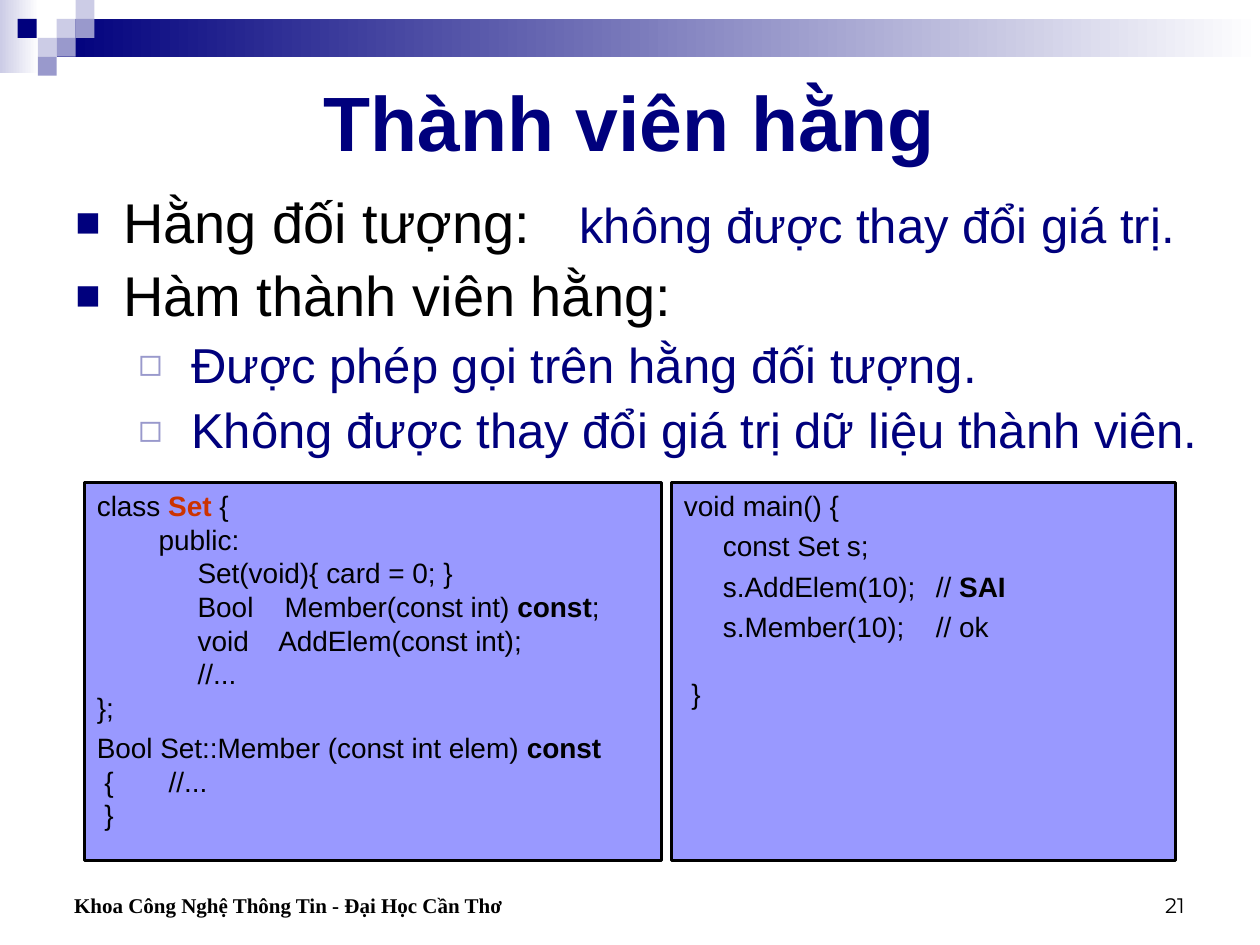
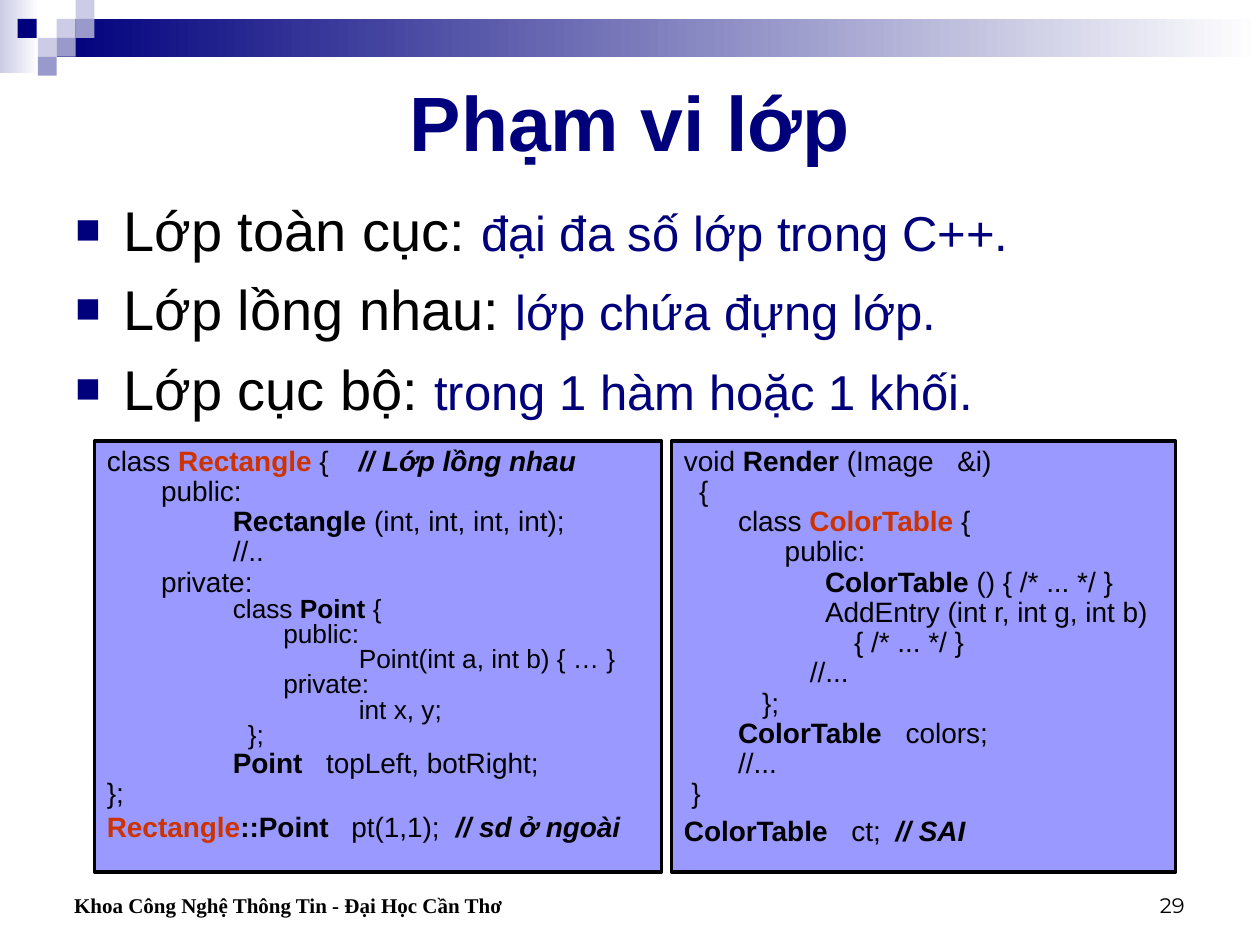
from lxml import etree
from pptx import Presentation
from pptx.dml.color import RGBColor
from pptx.enum.shapes import MSO_SHAPE
from pptx.enum.text import MSO_ANCHOR, PP_ALIGN
from pptx.oxml.ns import qn
from pptx.util import Inches, Pt

RECTANGLE = MSO_SHAPE.RECTANGLE
TOP, MIDDLE, BOTTOM = MSO_ANCHOR.TOP, MSO_ANCHOR.MIDDLE, MSO_ANCHOR.BOTTOM
LEFT, CENTER, RIGHT = PP_ALIGN.LEFT, PP_ALIGN.CENTER, PP_ALIGN.RIGHT

NAVY, LAVENDER, PALE = "00007D", "9999CC", "CCCCE6"
CODE_FILL, RED, BLACK, WHITE = "9999FF", "CC3300", "000000", "FFFFFF"
BODY_FONT, FOOTER_FONT, NUMBER_FONT = "Arial", "Times New Roman", "Montserrat"
FOOTER = "Khoa Công Nghệ Thông Tin - Đại Học Cần Thơ"

TILE = 0.15
TILES = [
    (0.45, 0.15, PALE), (0.6, 0, PALE), (0.6, 0.15, LAVENDER), (0.3, 0.3, PALE),
    (0.14, 0.15, NAVY), (0.45, 0.3, LAVENDER), (0.3, 0.45, LAVENDER),
]

BULLETS = {
    1: {"char": "■", "color": NAVY, "percent": 75, "margin": 0.38, "hang": 0.38},
    2: {"char": "◻", "color": LAVENDER, "percent": 80, "margin": 0.92, "hang": 0.42},
}

STYLES = {
    "plain": {},
    "bold": {"bold": True},
    "name": {"bold": True, "color": RED},
    "note": {"bold": True, "italic": True},
}


def rgb(hex_color):
    """Turn a hex string into a colour."""
    return RGBColor.from_string(hex_color)


def add_run(paragraph, text, size, color=BLACK, font=BODY_FONT, bold=False, italic=False):
    """Append one formatted run to a paragraph."""
    run = paragraph.add_run()
    run.text = text
    run.font.name = font
    run.font.size = Pt(size)
    run.font.bold = bold
    run.font.italic = italic
    run.font.color.rgb = rgb(color)


def add_rectangle(slide, left, top, width, height, color):
    """Add a plain rectangle without outline or shadow."""
    rectangle = slide.shapes.add_shape(
        RECTANGLE, Inches(left), Inches(top), Inches(width), Inches(height))
    rectangle.shadow.inherit = False
    rectangle.fill.solid()
    rectangle.fill.fore_color.rgb = rgb(color)
    rectangle.line.fill.background()
    return rectangle


def add_fading_band(slide, left, top, width, height, color):
    """Add a rectangle that fades from a colour to white, left to right."""
    fill = add_rectangle(slide, left, top, width, height, color).fill
    fill.gradient()
    fill.gradient_angle = 0
    for stop, stop_color in zip(fill.gradient_stops, (color, WHITE)):
        stop.color.rgb = rgb(stop_color)


def add_text_box(slide, left, top, width, height, anchor=TOP):
    """Add a wrapping text box and return its text frame."""
    frame = slide.shapes.add_textbox(
        Inches(left), Inches(top), Inches(width), Inches(height)).text_frame
    frame.word_wrap = True
    frame.vertical_anchor = anchor
    return frame


def next_paragraph(frame, index):
    """Return the first paragraph for index 0 and a new one after that."""
    return frame.add_paragraph() if index else frame.paragraphs[0]


def set_tab_stops(paragraph, stops):
    """Give a paragraph left tab stops, in inches."""
    if stops:
        tab_list = etree.SubElement(paragraph._p.get_or_add_pPr(), qn("a:tabLst"))
        for stop in stops:
            etree.SubElement(tab_list, qn("a:tab"), pos=str(Inches(stop)), algn="l")


def set_bullet(paragraph, level):
    """Apply the bullet and hanging indent of a list level."""
    bullet = BULLETS[level]
    properties = paragraph._p.get_or_add_pPr()
    properties.set("marL", str(Inches(bullet["margin"])))
    properties.set("indent", str(-Inches(bullet["hang"])))
    color = etree.SubElement(properties, qn("a:buClr"))
    etree.SubElement(color, qn("a:srgbClr"), val=bullet["color"])
    etree.SubElement(properties, qn("a:buSzPct"), val=str(bullet["percent"] * 1000))
    etree.SubElement(properties, qn("a:buFont"), typeface=BODY_FONT)
    etree.SubElement(properties, qn("a:buChar"), char=bullet["char"])


def add_banner(slide):
    """Draw the band and the tiles along the top."""
    add_fading_band(slide, 0, 0, 0.31, 0.58, PALE)
    add_fading_band(slide, 0.45, 0.15, 9.55, 0.3, NAVY)
    for left, top, color in TILES:
        add_rectangle(slide, left, top, TILE, TILE, color)


def add_label(slide, place, text, anchor, alignment, **style):
    """Add a text box that holds a single run."""
    paragraph = add_text_box(slide, *place, anchor).paragraphs[0]
    paragraph.alignment = alignment
    add_run(paragraph, text, **style)


def add_topic_slide(deck, title, number):
    """Add a slide with banner, title, footer and page number."""
    slide = deck.slides.add_slide(deck.slide_layouts[6])
    add_banner(slide)
    add_label(slide, (0.5, 0.5, 9, 0.92), title, MIDDLE, CENTER,
              size=44, color=NAVY, bold=True)
    add_label(slide, (0.49, 6.83, 4.59, 0.5), FOOTER, BOTTOM, LEFT,
              size=12, font=FOOTER_FONT, bold=True)
    add_label(slide, (7.17, 6.83, 2.33, 0.5), number, BOTTOM, RIGHT,
              size=12, font=NUMBER_FONT)
    return slide


def add_points(slide, width, height, points, spacing):
    """Add bulleted points given as (level, term, explanation, tab stops)."""
    frame = add_text_box(slide, 0.5, 1.5, width, height)
    for index, (level, term, explanation, stops) in enumerate(points):
        paragraph = next_paragraph(frame, index)
        paragraph.line_spacing = spacing
        paragraph.space_before = Pt(7)
        set_bullet(paragraph, level)
        set_tab_stops(paragraph, stops)
        if term:
            add_run(paragraph, term, 32)
        if explanation:
            add_run(paragraph, explanation, 28, NAVY)


def line(stops, *parts, size=16, spacing=1.0, before=0):
    """Describe a code line; a part is plain text or (text, style)."""
    runs = [(part, "plain") if isinstance(part, str) else part for part in parts]
    return {"stops": stops, "runs": runs, "size": size, "spacing": spacing, "before": before}


def dense(stops, *parts):
    """Describe a code line with tight spacing."""
    return line(stops, *parts, spacing=0.9)


def nested(stops, *parts):
    """Describe a smaller code line of an inner class."""
    return line(stops, *parts, size=15, spacing=0.8)


def add_code_box(slide, left, top, width, height, code):
    """Add an outlined box that holds lines of code."""
    box = add_rectangle(slide, left, top, width, height, CODE_FILL)
    box.line.color.rgb = rgb(BLACK)
    box.line.width = Pt(2)
    frame = box.text_frame
    frame.word_wrap = True
    frame.vertical_anchor = TOP
    for index, code_line in enumerate(code):
        paragraph = next_paragraph(frame, index)
        paragraph.alignment = LEFT
        paragraph.line_spacing = code_line["spacing"]
        paragraph.space_before = Pt(code_line["before"])
        set_tab_stops(paragraph, code_line["stops"])
        for text, style in code_line["runs"]:
            add_run(paragraph, text, code_line["size"], **STYLES[style])


def add_constant_members(deck):
    """Build the slide on constant members."""
    slide = add_topic_slide(deck, "Thành viên hằng", "21")
    add_points(slide, 9.17, 2.33, [
        (1, "Hằng đối tượng:\t", "không được thay đổi giá trị.", [3.48]),
        (1, "Hàm thành viên hằng:", "", []),
        (2, "", "Được phép gọi trên hằng đối tượng.", []),
        (2, "", "Không được thay đổi giá trị dữ liệu thành viên.", []),
    ], spacing=0.9)
    add_code_box(slide, 0.67, 3.83, 4.58, 3, [
        line([], "class ", ("Set", "name"), " {"),
        line([0.49], "\tpublic:"),
        line([0.8], "\tSet(void){ card = 0; }"),
        line([0.8, 1.49], "\tBool\tMember(const int) ", ("const", "bold"), ";"),
        line([0.8, 1.44], "\tvoid\tAddElem(const int);"),
        line([0.8], "\t//..."),
        line([], "};"),
        line([], "Bool Set::Member (const int elem) ", ("const", "bold"), spacing=1.2),
        line([0.06, 0.57], "\t{\t//..."),
        line([0.06], "\t}"),
    ])
    add_code_box(slide, 5.33, 3.83, 4, 3, [
        line([], "void main() {"),
        line([0.31], "\tconst Set s;", spacing=1.2),
        line([0.31, 2], "\ts.AddElem(10);\t// ", ("SAI", "bold"), spacing=1.2),
        line([0.31, 2], "\ts.Member(10);\t// ok", spacing=1.2),
        line([0.06], "\t}", before=19),
    ])


def add_class_scope(deck):
    """Build the slide on class scope."""
    slide = add_topic_slide(deck, "Phạm vi lớp", "29")
    add_points(slide, 9, 1.92, [
        (1, "Lớp toàn cục: ", "đại đa số lớp trong C++.", []),
        (1, "Lớp lồng nhau: ", "lớp chứa đựng lớp.", []),
        (1, "Lớp cục bộ: ", "trong 1 hàm hoặc 1 khối.", []),
    ], spacing=1.0)
    add_code_box(slide, 0.75, 3.5, 4.5, 3.42, [
        dense([2], "class ", ("Rectangle", "name"), " {\t", ("// Lớp lồng nhau", "note")),
        dense([0.43], "\tpublic:"),
        dense([1], "\t", ("Rectangle", "bold"), " (int, int, int, int);"),
        dense([1], "\t//.."),
        dense([0.43], "\tprivate:"),
        nested([1], "\tclass ", ("Point", "bold"), " {"),
        nested([1.4], "\tpublic:"),
        nested([2], "\tPoint(int a, int b) { … }"),
        nested([1.4], "\tprivate:"),
        nested([2], "\tint x, y;"),
        nested([1.12], "\t};"),
        dense([1, 1.74], "\t", ("Point", "bold"), "\ttopLeft, botRight;"),
        dense([], "};"),
        line([1.94, 2.77], ("Rectangle", "name"), ("::Point", "bold"), "\tpt(1,1);\t",
             ("// sd ở ngoài", "note")),
    ])
    add_code_box(slide, 5.33, 3.5, 4, 3.42, [
        dense([2.17], "void ", ("Render", "bold"), " (Image\t&i)"),
        dense([0.12], "\t{"),
        dense([0.43], "\tclass ", ("ColorTable", "name"), " {"),
        dense([0.8], "\tpublic:"),
        dense([1.12], "\t", ("ColorTable", "bold"), " () { /* ... */ }"),
        dense([1.12], "\tAddEntry (int r, int g, int b)"),
        dense([1.35], "\t{ /* ... */ }"),
        dense([1], "\t//..."),
        dense([0.62], "\t};"),
        dense([0.43, 1.76], "\t", ("ColorTable", "bold"), "\tcolors;"),
        dense([0.43], "\t//..."),
        dense([0.06], "\t}"),
        line([1.33, 1.68], ("ColorTable", "bold"), "\tct;\t", ("// SAI", "note"), spacing=1.1),
    ])


def main():
    """Build and save the deck."""
    deck = Presentation()
    deck.slide_width = Inches(10)
    deck.slide_height = Inches(7.5)
    add_constant_members(deck)
    add_class_scope(deck)
    deck.save("out.pptx")


if __name__ == "__main__":
    main()
